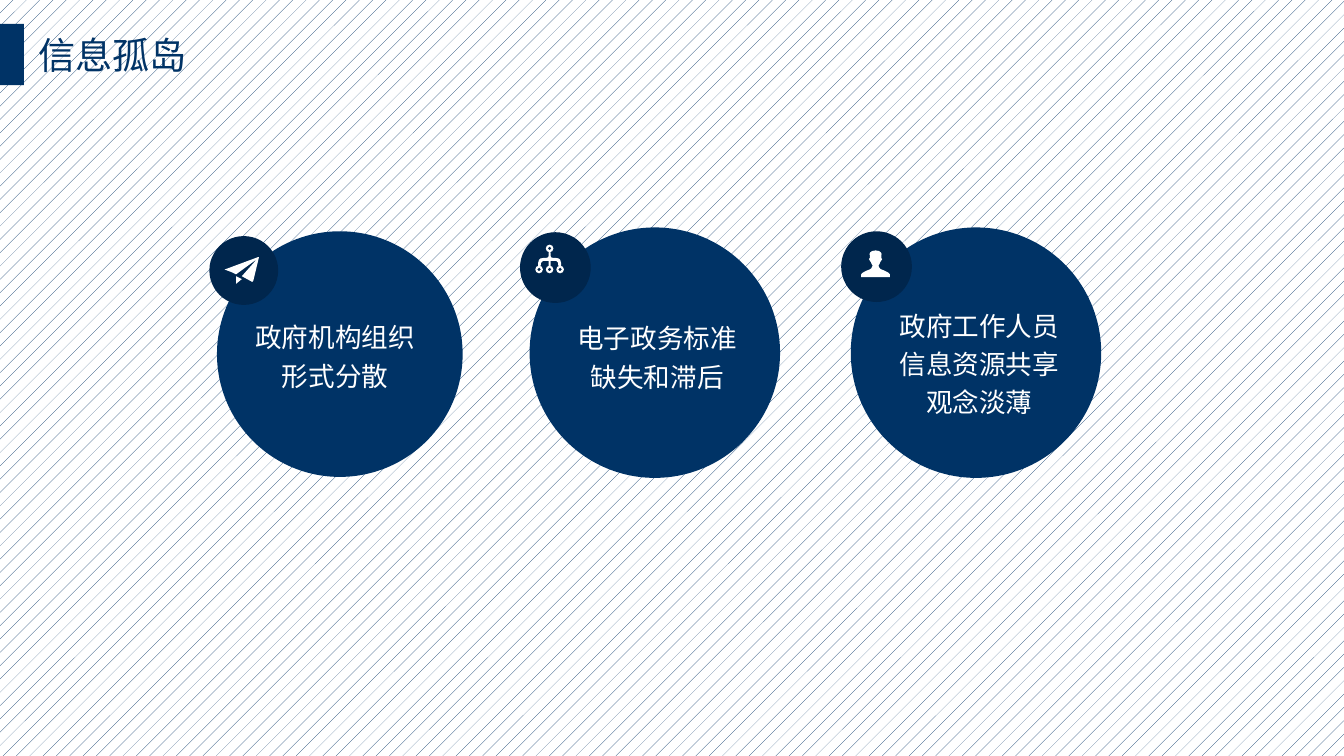
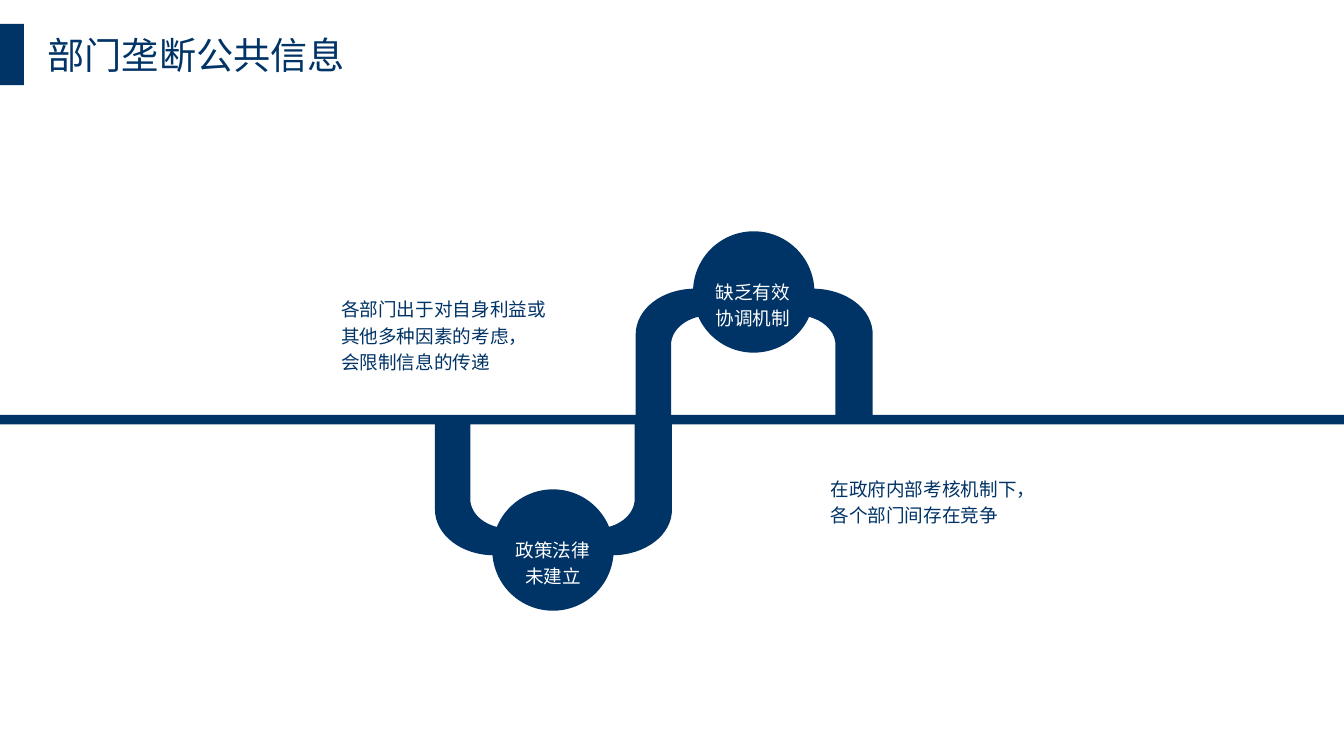
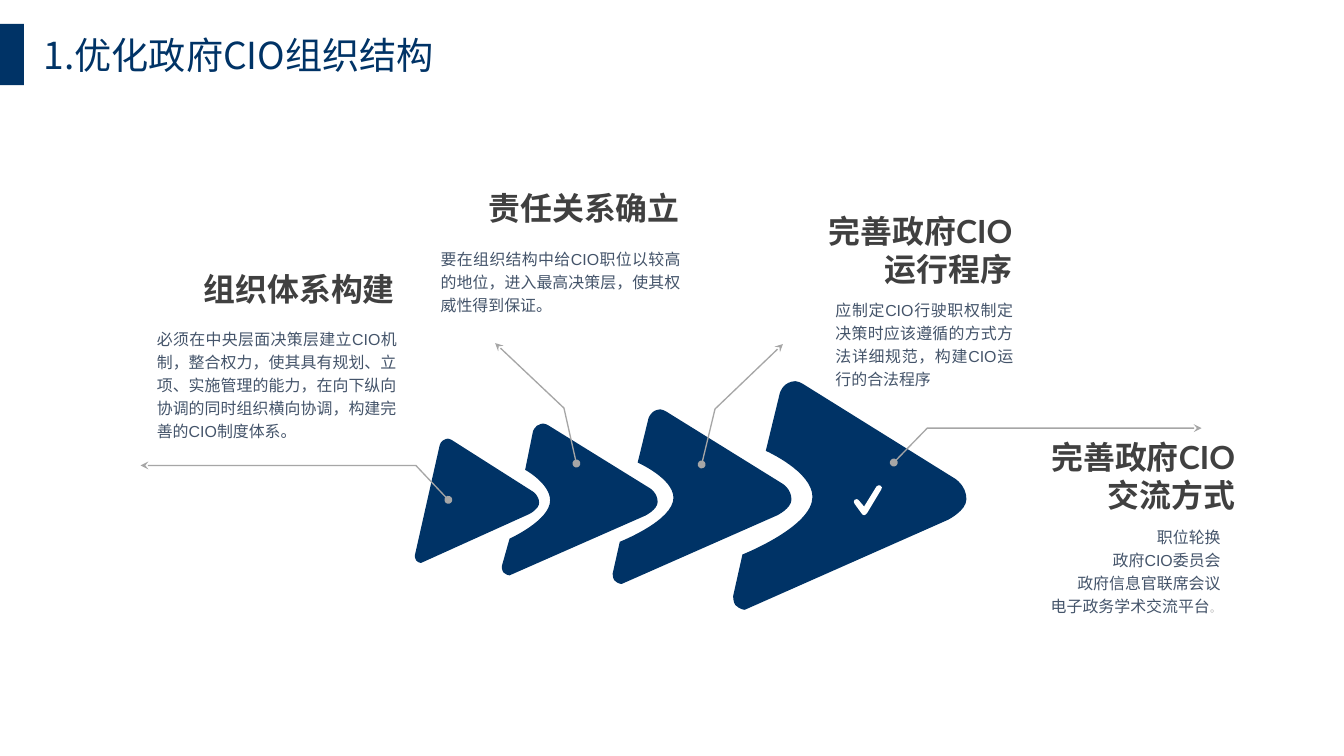
import dataclasses
import typing

import pptx
import pptx.dml.color
import pptx.enum.dml
import pptx.enum.shapes
import pptx.enum.text
import pptx.oxml.ns
import pptx.oxml.xmlchemy
import pptx.util

Inches = pptx.util.Inches
Pt = pptx.util.Pt
RGBColor = pptx.dml.color.RGBColor
SHAPE = pptx.enum.shapes.MSO_SHAPE
ALIGN = pptx.enum.text.PP_ALIGN
ANCHOR = pptx.enum.text.MSO_ANCHOR

NAVY = RGBColor(0x00, 0x33, 0x66)
DARK = RGBColor(0x00, 0x26, 0x4D)
WHITE = RGBColor(0xFF, 0xFF, 0xFF)
GREY = RGBColor(0xA6, 0xA6, 0xA6)
COAL = RGBColor(0x40, 0x40, 0x40)
SLATE = RGBColor(0x44, 0x54, 0x6A)
HAN = "Noto Sans CJK SC"
WIDE, HIGH = 14.06, 7.91
PAD = (0.1, 0.05)

Spot = tuple[float, float]
Loop = list[tuple[float, ...]]


@dataclasses.dataclass(frozen=True)
class Style:
    size: float
    color: RGBColor
    face: str = "Arial"
    bold: bool = False
    align: typing.Any = ALIGN.LEFT
    lead: float = 1.2
    before: float = 0
    anchor: typing.Any = ANCHOR.TOP
    inset: Spot = (0, 0)


@dataclasses.dataclass(frozen=True)
class Note:
    x: float
    y: float
    w: float
    h: float
    lines: tuple[str, ...]
    style: Style
    tail: str = ""


@dataclasses.dataclass(frozen=True)
class Disc:
    x: float
    y: float
    size: float
    color: RGBColor = NAVY


@dataclasses.dataclass(frozen=True)
class Place:
    x: float = 0
    y: float = 0
    w: float = 1
    h: float = 1


TITLE = Style(28, NAVY, HAN, lead=1.0)
LABEL = Style(20, WHITE, align=ALIGN.CENTER, before=10, anchor=ANCHOR.MIDDLE)
KNOT = Style(14, WHITE, align=ALIGN.CENTER, inset=PAD)
CLAIM = Style(14, NAVY, inset=PAD)
HEAD = Style(24, COAL, "Lato", True, ALIGN.RIGHT, 1.0, anchor=ANCHOR.MIDDLE, inset=(0, 0.11))
BODY = Style(12, SLATE, align=ALIGN.JUSTIFY)
LIST = Style(12, SLATE, align=ALIGN.RIGHT)
STOP = Style(8, GREY)


def put(item: typing.Any, form: dict[str, typing.Any]) -> None:
    for name, value in form.items():
        setattr(item, name, value)


def paint(shape: typing.Any, fill: RGBColor | None, line: RGBColor | None = None) -> None:
    shape.shadow.inherit = False
    if fill is None:
        shape.fill.background()
    else:
        shape.fill.solid()
        shape.fill.fore_color.rgb = fill
    if line is None:
        shape.line.fill.background()
    else:
        shape.line.color.rgb = line
        shape.line.width = Pt(1)


def draw(slide: typing.Any, kind: typing.Any, place: Place, fill: RGBColor) -> None:
    box = (Inches(v) for v in dataclasses.astuple(place))
    paint(slide.shapes.add_shape(kind, *box), fill)


def dot(slide: typing.Any, disc: Disc) -> None:
    draw(slide, SHAPE.OVAL, Place(disc.x, disc.y, disc.size, disc.size), disc.color)


def pairs(part: tuple[float, ...]) -> list[Spot]:
    return list(zip(part[::2], part[1::2]))


def bend(shape: typing.Any, counts: list[int]) -> None:
    tag = pptx.oxml.ns.qn("a:lnTo")
    lines = iter(list(shape._element.spPr.iter(tag)))
    for count in counts:
        group = [next(lines) for _ in range(count)]
        if count == 3:
            curve = pptx.oxml.xmlchemy.OxmlElement("a:cubicBezTo")
            group[0].addprevious(curve)
            for line in group:
                curve.append(line[0])
                line.getparent().remove(line)


def trace(slide: typing.Any, loops: list[Loop], place: Place = Place(), close: bool = True) -> typing.Any:
    pen = None
    for loop in loops:
        spots = [(Inches(place.x + x * place.w), Inches(place.y + y * place.h))
                 for part in loop for x, y in pairs(part)]
        if pen is None:
            pen = slide.shapes.build_freeform(*spots[0], scale=1.0)
        else:
            pen.move_to(*spots[0])
        pen.add_line_segments(spots[1:], close=close)
    shape = pen.convert_to_shape()
    bend(shape, [len(part) // 2 for loop in loops for part in loop[1:]])
    return shape


def add_run(para: typing.Any, text: str, style: Style) -> None:
    run = para.add_run()
    run.text = text
    put(run.font, {"size": Pt(style.size), "bold": style.bold, "name": style.face})
    run.font.color.rgb = style.color
    east = pptx.oxml.xmlchemy.OxmlElement("a:ea")
    east.set("typeface", HAN)
    run.font._element.append(east)


def write(slide: typing.Any, note: Note) -> None:
    style = note.style
    box = slide.shapes.add_textbox(*(Inches(v) for v in (note.x, note.y, note.w, note.h)))
    side, top = (Inches(v) for v in style.inset)
    frame = box.text_frame
    put(frame, {"word_wrap": True, "vertical_anchor": style.anchor, "margin_left": side,
                "margin_right": side, "margin_top": top, "margin_bottom": top})
    for rank, line in enumerate(note.lines):
        para = frame.add_paragraph() if rank else frame.paragraphs[0]
        put(para, {"alignment": style.align, "line_spacing": style.lead, "space_before": Pt(style.before)})
        add_run(para, line, style)
    if note.tail:
        add_run(para, note.tail, STOP)


def leader(slide: typing.Any, loop: Loop) -> None:
    shape = trace(slide, [loop], close=False)
    paint(shape, None, GREY)
    for tag, kind in (("a:headEnd", "oval"), ("a:tailEnd", "stealth")):
        end = pptx.oxml.xmlchemy.OxmlElement(tag)
        end.set("type", kind)
        shape.line._get_or_add_ln().append(end)


def start(deck: typing.Any, title: Note) -> typing.Any:
    slide = deck.slides.add_slide(deck.slide_layouts[6])
    draw(slide, SHAPE.RECTANGLE, Place(0, 0.25, 0.25, 0.64), NAVY)
    write(slide, title)
    return slide


PLANE = [
    [(2.47, 2.97), (2.53, 2.92), (2.47, 2.89)],
    [(2.7, 2.69), (2.35, 2.82), (2.43, 2.85), (2.47, 2.87), (2.69, 2.71),
     (2.53, 2.89), (2.64, 2.95), (2.65, 2.94), (2.71, 2.69)],
]
BUST = [(0, 0.28), (0.15, 0.28), (0.15, 0.25), (0.15, 0.24, 0.13, 0.23, 0.09, 0.21),
        (0.05, 0.2, 0.03, 0.18, 0.03, 0.16), (0.03, 0.14, 0.05, 0.15, 0.05, 0.12),
        (0.05, 0.11, 0.06, 0.12, 0.07, 0.09), (0.06, 0.08), (0.06, 0.05),
        (0.07, 0.04, 0.06, 0, 0, 0)]
YOKE = [(5.63, 2.78), (5.63, 2.75), (5.63, 2.73, 5.64, 2.7, 5.68, 2.7), (5.71, 2.7),
        (5.73, 2.7, 5.74, 2.69, 5.74, 2.68), (5.74, 2.64), (5.76, 2.64), (5.76, 2.68),
        (5.76, 2.69, 5.77, 2.7, 5.79, 2.7), (5.82, 2.7), (5.86, 2.7, 5.87, 2.73, 5.87, 2.75),
        (5.87, 2.78), (5.84, 2.78), (5.84, 2.75), (5.84, 2.74, 5.83, 2.73, 5.82, 2.73),
        (5.76, 2.73), (5.76, 2.78), (5.74, 2.78), (5.74, 2.73), (5.68, 2.73),
        (5.67, 2.73, 5.66, 2.74, 5.66, 2.75), (5.66, 2.78)]


def mirror(half: Loop) -> Loop:
    whole = list(half)
    for prior, part in reversed(list(zip(half, half[1:]))):
        spots = [prior[-2:], *pairs(part)[:-1]]
        whole.append(tuple(v for x, y in reversed(spots) for v in (-x, y)))
    return whole


def ring(x: float, y: float, r: float, turn: int = 1) -> Loop:
    k = 0.55 * r
    s, t = turn * r, turn * k
    return [(x + r, y), (x + r, y + t, x + k, y + s, x, y + s),
            (x - k, y + s, x - r, y + t, x - r, y),
            (x - r, y - t, x - k, y - s, x, y - s),
            (x + k, y - s, x + r, y - t, x + r, y)]


def island(deck: typing.Any) -> None:
    slide = start(deck, Note(0.4, 0.34, 1.57, 0.47, ("信息孤岛",), TITLE))
    fill = slide.background.fill
    fill.patterned()
    fill.pattern = pptx.enum.dml.MSO_PATTERN.PERCENT_5
    fill.fore_color.rgb = NAVY
    fill.back_color.rgb = WHITE
    for disc in (Disc(2.27, 2.42, 2.57), Disc(5.54, 2.38, 2.62), Disc(8.9, 2.38, 2.62),
                 Disc(2.19, 2.47, 0.72, DARK), Disc(5.44, 2.43, 0.74, DARK),
                 Disc(8.8, 2.42, 0.74, DARK)):
        dot(slide, disc)
    tree = [YOKE]
    for x, y in ((5.75, 2.6), (5.64, 2.82), (5.75, 2.82), (5.86, 2.82)):
        tree += [ring(x, y, 0.04), ring(x, y, 0.02, -1)]
    paint(trace(slide, PLANE), WHITE)
    paint(trace(slide, tree), WHITE)
    paint(trace(slide, [mirror(BUST)], Place(9.16, 2.62)), WHITE)
    roomy = dataclasses.replace(LABEL, inset=PAD)
    for note in (Note(2.51, 3.4, 1.99, 0.59, ("政府机构组织形式分散",), roomy),
                 Note(5.93, 3.4, 1.89, 0.61, ("电子政务标准缺失和滞后",), LABEL),
                 Note(9.3, 3.47, 1.89, 0.61, ("政府工作人员信息资源共享观念淡薄",), LABEL)):
        write(slide, note)


PIPE = [(0, 0), (0.37, 0), (0.37, 0.79), (0.37, 0.96, 0.55, 1.1, 0.78, 1.1), (1.69, 1.1),
        (1.91, 1.1, 2.09, 0.96, 2.09, 0.79), (2.09, 0), (2.48, 0), (2.48, 0.9),
        (2.48, 1.17, 2.2, 1.38, 1.85, 1.38), (0.62, 1.38), (0.28, 1.38, 0, 1.17, 0, 0.9)]


def hoard(deck: typing.Any) -> None:
    slide = start(deck, Note(0.5, 0.34, 3.14, 0.47, ("部门垄断公共信息",), TITLE))
    for place, disc in ((Place(4.55, 4.43), Disc(5.15, 5.12, 1.27)),
                        (Place(6.65, 4.4, 1, -1), Disc(7.25, 2.42, 1.27))):
        paint(trace(slide, [PIPE], place), NAVY)
        dot(slide, disc)
    draw(slide, SHAPE.RECTANGLE, Place(0, 4.34, WIDE, 0.1), NAVY)
    for note in (
        Note(5.24, 5.54, 1.09, 0.67, ("政策法律未建立",), KNOT),
        Note(7.33, 2.84, 1.09, 0.67, ("缺乏有效协调机制",), KNOT),
        Note(3.47, 3.02, 2.36, 0.95,
             ("各部门出于对自身利益或", "其他多种因素的考虑，", "会限制信息的传递"), CLAIM),
        Note(8.59, 4.9, 2.36, 0.64, ("在政府内部考核机制下，", "各个部门间存在竞争"), CLAIM),
    ):
        write(slide, note)


WEDGE = [(0.2, 0.06), (0.2, 0.06, 0.21, 0.02, 0.25, 0.01), (0.27, 0, 0.3, 0.02, 0.3, 0.02),
         (0.95, 0.43), (0.95, 0.43, 1, 0.46, 1, 0.52), (1, 0.57, 0.92, 0.61, 0.92, 0.61),
         (0.05, 1), (0.05, 1, 0.03, 1, 0.01, 0.98), (0, 0.97, 0, 0.94, 0, 0.94)]
TICK = [(9.04, 5.39), (9.03, 5.39, 9.02, 5.38, 9.02, 5.38), (8.94, 5.27),
        (8.93, 5.26, 8.93, 5.24, 8.94, 5.23), (8.96, 5.22, 8.97, 5.22, 8.98, 5.23),
        (9.04, 5.3), (9.17, 5.09), (9.18, 5.08, 9.2, 5.07, 9.21, 5.08),
        (9.23, 5.09, 9.23, 5.11, 9.22, 5.12), (9.07, 5.37), (9.06, 5.38, 9.05, 5.39, 9.04, 5.39)]


def notch(low: float, dip: float, top: float) -> Loop:
    return [(low, 0.76), (low, 0.76, dip, 0.64, dip, 0.51), (dip, 0.4, top, 0.31, top, 0.31)]


def reform(deck: typing.Any) -> None:
    inner = dataclasses.replace(TITLE, inset=PAD)
    slide = start(deck, Note(0.36, 0.29, 4.37, 0.57, ("1.优化政府CIO组织结构",), inner))
    for place, cut in ((Place(7.67, 3.97, 2.44, 2.41), notch(0.04, 0.34, 0.14)),
                       (Place(6.41, 4.27, 1.87, 1.84), notch(0.04, 0.34, 0.14)),
                       (Place(5.25, 4.42, 1.63, 1.6), notch(0.05, 0.31, 0.15)),
                       (Place(4.34, 4.58, 1.3, 1.31), [])):
        paint(trace(slide, [WEDGE + cut], place), NAVY)
    for loop in ([(9.35, 4.84), (9.7, 4.48), (12.57, 4.48)],
                 [(4.69, 5.23), (4.35, 4.87), (1.47, 4.87)],
                 [(7.34, 4.86), (7.48, 4.28), (8.19, 3.6)],
                 [(6.03, 4.85), (5.9, 4.27), (5.18, 3.59)]):
        leader(slide, loop)
    paint(trace(slide, [TICK]), WHITE)
    for note in (
        Note(1.98, 2.83, 2.15, 0.39, ("组织体系构建",), HEAD),
        Note(1.64, 3.41, 2.51, 0.63,
             ("必须在中央层面决策层建立CIO机制，整合权力，使其具有规划、立项、实施管理的能力，"
              "在向下纵向协调的同时组织横向协调，构建完善的CIO制度体系。",), BODY),
        Note(4.79, 1.98, 2.32, 0.39, ("责任关系确立",), HEAD),
        Note(4.61, 2.57, 2.51, 0.63,
             ("要在组织结构中给CIO职位以较高的地位，进入最高决策层，使其权威性得到保证。",), BODY),
        Note(8.53, 2.42, 2.06, 0.39, ("完善政府CIO运行程序",), HEAD),
        Note(8.74, 3.11, 1.86, 1.12,
             ("应制定CIO行驶职权制定决策时应该遵循的方式方法详细规范，构建CIO运行的合法程序",), BODY),
        Note(10.9, 4.78, 2.02, 0.39, ("完善政府CIO交流方式",), HEAD),
        Note(10.26, 5.48, 2.51, 1.16,
             ("职位轮换", "政府CIO委员会", "政府信息官联席会议", "电子政务学术交流平台"), LIST, "。"),
    ):
        write(slide, note)


def main() -> None:
    deck = pptx.Presentation()
    put(deck, {"slide_width": Inches(WIDE), "slide_height": Inches(HIGH)})
    for build in (island, hoard, reform):
        build(deck)
    deck.save("out.pptx")


main()
